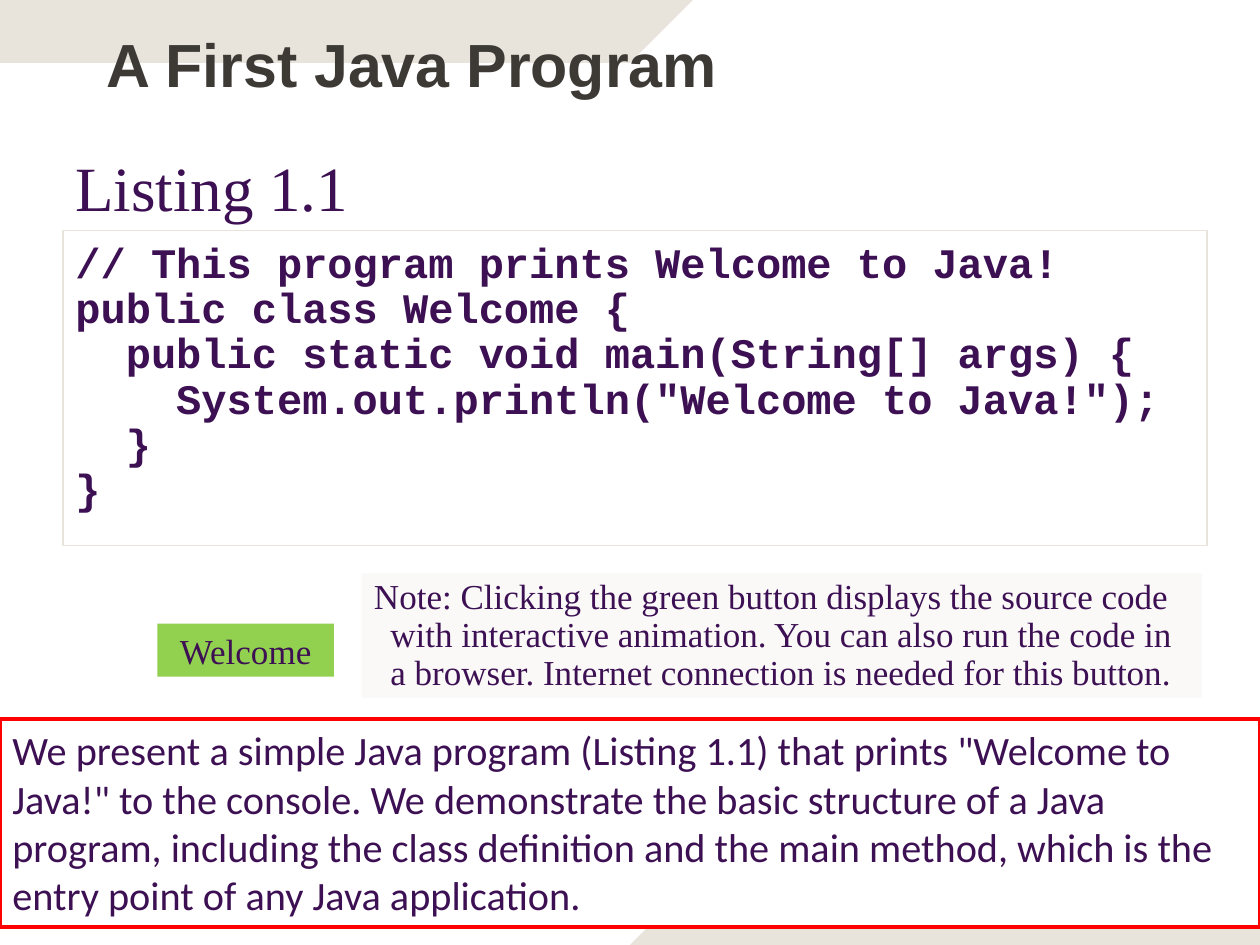
from pptx import Presentation
from pptx.dml.color import RGBColor
from pptx.enum.text import MSO_ANCHOR, PP_ALIGN
from pptx.util import Inches, Pt

INK = "3C1053"
SAND = "E8E3DB"
SERIF = "Times New Roman"


def color(value):
    return RGBColor.from_string(value)


def add_text(box, lines, font, size, ink=INK, bold=False, fill=None, line=None,
             hang=0, spacing=None, top_inset=0.05):
    area = slide.shapes.add_textbox(*[Inches(v) for v in box])
    if fill:
        area.fill.solid()
        area.fill.fore_color.rgb = color(fill)
    if line:
        area.line.color.rgb = color(line[0])
        area.line.width = Pt(line[1])
    frame = area.text_frame
    frame.word_wrap = True
    frame.margin_top = Inches(top_inset)
    frame.text = "\n".join(lines)
    for paragraph in frame.paragraphs:
        if hang:
            properties = paragraph._p.get_or_add_pPr()
            properties.set("marL", str(Inches(hang)))
            properties.set("indent", str(-Inches(hang)))
        if spacing:
            paragraph.line_spacing = spacing
        for run in paragraph.runs:
            run.font.name = font
            run.font.size = Pt(size)
            run.font.bold = bold
            run.font.color.rgb = color(ink)
    return frame


deck = Presentation()
deck.slide_width = Inches(10)
deck.slide_height = Inches(7.5)
slide = deck.slides.add_slide(deck.slide_layouts[6])

top_band = [(0, 0), (5.5, 0), (5, 0.5), (0, 0.5)]
bottom_band = [(10 - x, 7.5 - y) for x, y in top_band]
bottom_band = [(10, 7.5), (5, 7.5), (5.5, 7), (10, 7)]
for corners in (top_band, bottom_band):
    points = [(Inches(x), Inches(y)) for x, y in corners]
    builder = slide.shapes.build_freeform(*points[0])
    builder.add_line_segments(points[1:], close=True)
    band = builder.convert_to_shape()
    band.shadow.inherit = False
    band.fill.solid()
    band.fill.fore_color.rgb = color(SAND)
    band.line.fill.background()

title = add_text((0.75, 0.17, 8.5, 0.67), ["A First Java Program"], "Arial", 34.8,
                 ink="3D3935", bold=True)
title.vertical_anchor = MSO_ANCHOR.MIDDLE

code = [
    "// This program prints Welcome to Java!",
    "public class Welcome {",
    "  public static void main(String[] args) {",
    '    System.out.println("Welcome to Java!");',
    "  }",
    "}",
]
add_text((0.5, 1.83, 9.08, 2.5), code, "Courier New", 24, bold=True,
         line=(SAND, 0.75), hang=0.25, spacing=0.9, top_inset=0.09)

add_text((0.5, 1.08, 3.83, 0.7), ["Listing 1.1"], SERIF, 36, top_inset=0.1)

button = add_text((1.25, 4.95, 1.4, 0.42), ["Welcome"], SERIF, 20, fill="92D050")
button.paragraphs[0].alignment = PP_ALIGN.CENTER

note = (
    "Note: Clicking the green button displays the source code with interactive "
    "animation. You can also run the code in a browser. Internet connection is "
    "needed for this button."
)
add_text((2.87, 4.55, 6.67, 0.99), [note], SERIF, 20, fill="FAF9F8",
         hang=0.13, spacing=0.9)

summary = (
    'We present a simple Java program (Listing 1.1) that prints "Welcome to Java!" '
    "to the console. We demonstrate the basic structure of a Java program, "
    "including the class definition and the main method, which is the entry point "
    "of any Java application."
)
add_text((0, 5.71, 10, 1.65), [summary], "Calibri", 23, fill="FFFFFF",
         line=("FF0000", 2.25))

deck.save("out.pptx")
